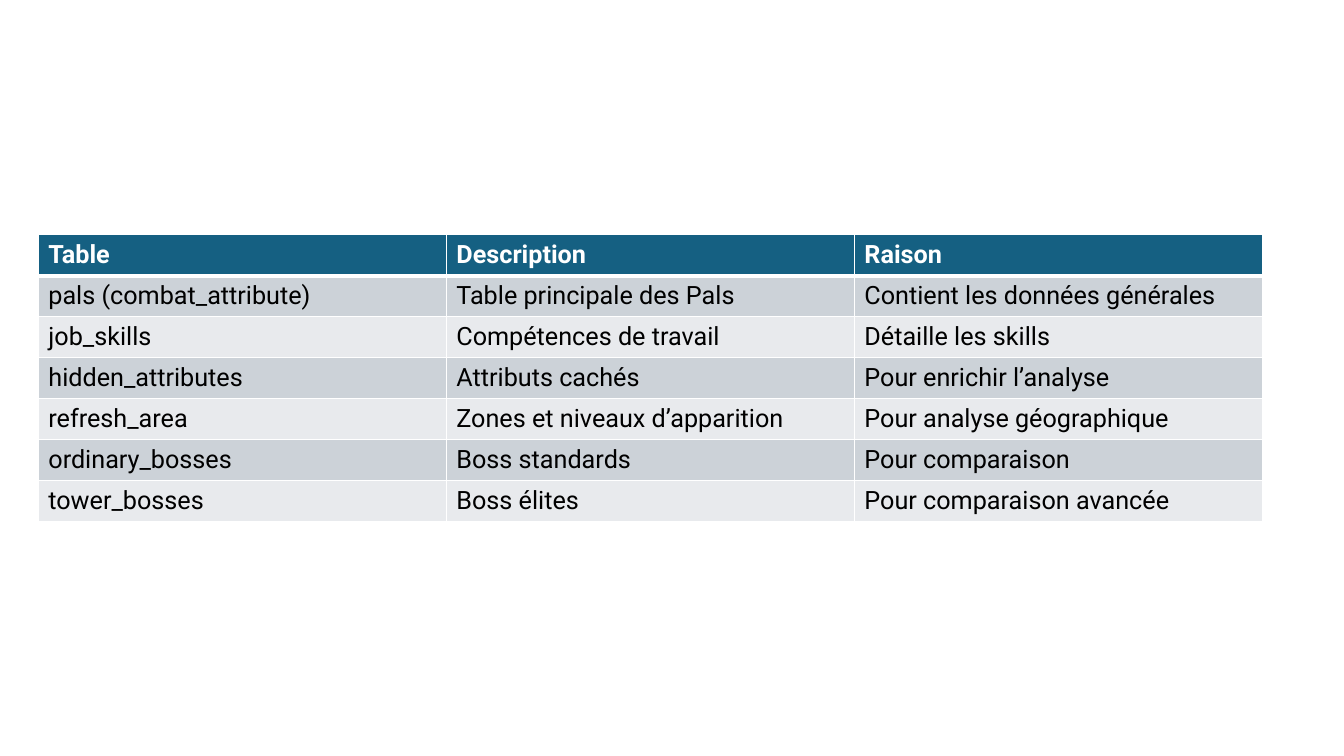
from lxml import etree
from pptx import Presentation
from pptx.dml.color import RGBColor
from pptx.enum import text
from pptx.oxml import ns
from pptx.util import Inches, Pt

WHITE = RGBColor(0xFF, 0xFF, 0xFF)
BLACK = RGBColor(0x00, 0x00, 0x00)
TEAL = RGBColor(0x15, 0x60, 0x82)
GREY = RGBColor(0xCC, 0xD2, 0xD8)
PALE_GREY = RGBColor(0xE8, 0xEA, 0xED)

ROW_HEIGHT = 0.406
COLUMN_WIDTH = 4.047

sources = [
    ("Table", "Description", "Raison"),
    ("pals (combat_attribute)", "Table principale des Pals", "Contient les données générales"),
    ("job_skills", "Compétences de travail", "Détaille les skills"),
    ("hidden_attributes", "Attributs cachés", "Pour enrichir l’analyse"),
    ("refresh_area", "Zones et niveaux d’apparition", "Pour analyse géographique"),
    ("ordinary_bosses", "Boss standards", "Pour comparaison"),
    ("tower_bosses", "Boss élites", "Pour comparaison avancée"),
]


def add_borders(cell, widths):
    properties = cell._tc.get_or_add_tcPr()
    for position, (side, width) in enumerate(widths.items()):
        line = etree.Element(ns.qn(f"a:ln{side}"), w=str(Pt(width)))
        fill = etree.SubElement(line, ns.qn("a:solidFill"))
        etree.SubElement(fill, ns.qn("a:srgbClr"), val=str(WHITE))
        properties.insert(position, line)


presentation = Presentation()
presentation.slide_width = Inches(13.33)
presentation.slide_height = Inches(7.5)
slide = presentation.slides.add_slide(presentation.slide_layouts[6])

overview = slide.shapes.add_table(
    len(sources), len(sources[0]), Inches(0.38), Inches(2.33),
    Inches(COLUMN_WIDTH * len(sources[0])), Inches(ROW_HEIGHT * len(sources)),
).table

for row_index, entries in enumerate(sources):
    overview.rows[row_index].height = Inches(ROW_HEIGHT)
    is_header = row_index == 0
    band = TEAL if is_header else (PALE_GREY, GREY)[row_index % 2]
    for column_index, entry in enumerate(entries):
        cell = overview.cell(row_index, column_index)
        cell.vertical_anchor = text.MSO_ANCHOR.MIDDLE
        cell.fill.solid()
        cell.fill.fore_color.rgb = band
        add_borders(cell, {"L": 1, "R": 1, "T": 3 if row_index == 1 else 1, "B": 3 if is_header else 1})
        run = cell.text_frame.paragraphs[0].add_run()
        run.text = entry
        run.font.name = "Roboto"
        run.font.size = Pt(18)
        run.font.bold = is_header
        run.font.color.rgb = WHITE if is_header else BLACK

presentation.save("out.pptx")
